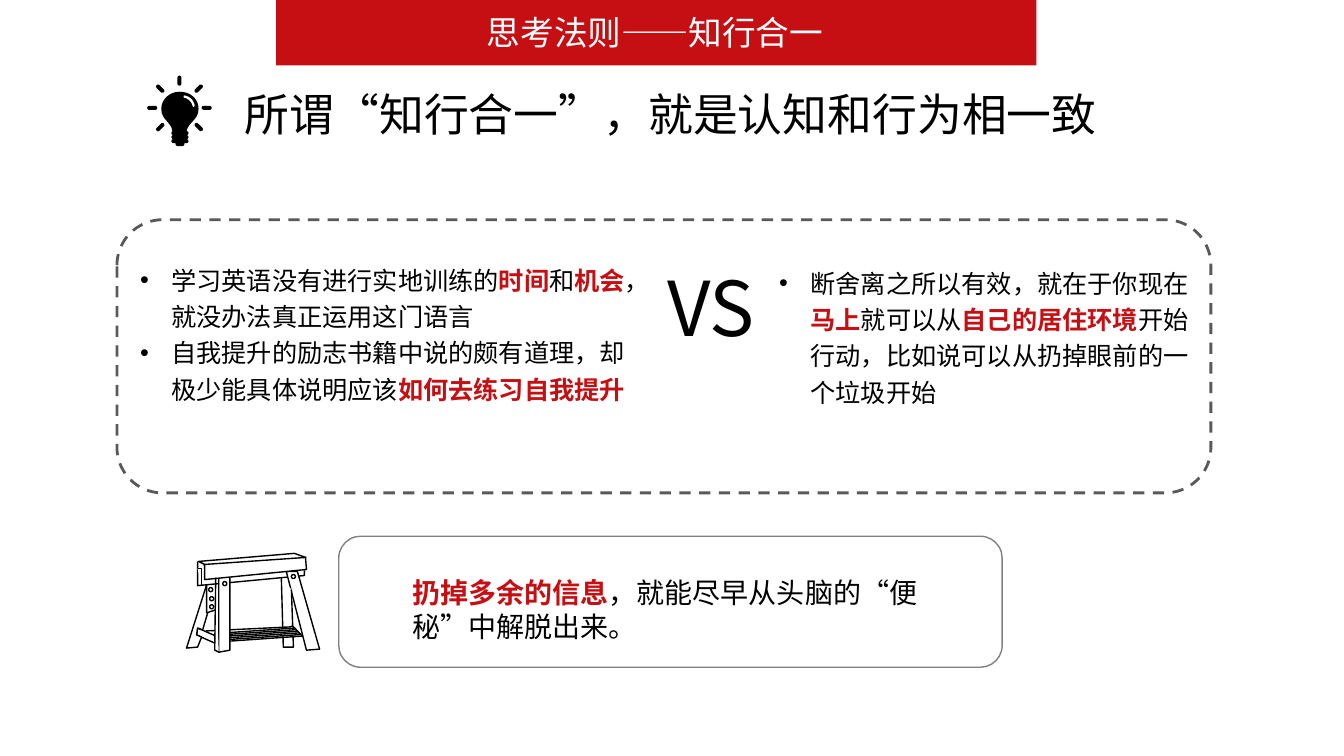
import math

from lxml import etree
from pptx import Presentation
from pptx.dml.color import RGBColor
from pptx.enum.dml import MSO_LINE
from pptx.enum.lang import MSO_LANGUAGE_ID
from pptx.enum.shapes import MSO_SHAPE
from pptx.enum.text import MSO_AUTO_SIZE
from pptx.oxml.ns import qn
from pptx.util import Inches, Pt

RECT, ROUNDED, OVAL = MSO_SHAPE.RECTANGLE, MSO_SHAPE.ROUNDED_RECTANGLE, MSO_SHAPE.OVAL
DASH = MSO_LINE.DASH
GROW = MSO_AUTO_SIZE.SHAPE_TO_FIT_TEXT
CHINESE = MSO_LANGUAGE_ID.SIMPLIFIED_CHINESE

RED = RGBColor(0xC6, 0x0F, 0x13)
BLACK = RGBColor(0, 0, 0)
WHITE = RGBColor(0xFF, 0xFF, 0xFF)
GREY = RGBColor(0x80, 0x80, 0x80)
DARK_GREY = RGBColor(0x59, 0x59, 0x59)
HEADING_FONT, BODY_FONT = "Noto Sans CJK SC", "Calibri"

# A paragraph is a list of runs; every second run is emphasised.
HEADER = [["思考法则——知行合一"]]
TITLE = [["所谓“知行合一”，就是认知和行为相一致"]]
VERSUS = [["VS"]]
CONCLUSION = [["扔掉多余的信息", "，就能尽早从头脑的“便秘”中解脱出来。"]]
TALK = [
    ["学习英语没有进行实地训练的", "时间", "和", "机会", "，就没办法真正运用这门语言"],
    ["自我提升的励志书籍中说的颇有道理，却极少能具体说明应该", "如何去练习自我提升"],
]
ACTION = [
    ["断舍离之所以有效，就在于你现在", "马上", "就可以从", "自己的居住环境",
     "开始行动，比如说可以从扔掉眼前的一个垃圾开始"],
]

# Workbench outlines: points and whether the outline is closed
BENCH_BACK = [
    ([(1.96, 5.57), (1.96, 5.81), (3.02, 5.71), (3.02, 5.66)], False),
    ([(2.02, 5.61), (3.03, 5.53)], False),
    ([(1.96, 5.64), (2, 5.64), (2, 5.81)], False),
    ([(2.13, 6.38), (1.95, 6.3), (1.96, 6.23), (2.14, 6.31)], False),
    ([(2.06, 6.08), (2.01, 6.25), (1.96, 6.23), (1.95, 6.3), (2, 6.32),
      (1.96, 6.42), (1.85, 6.43), (2.05, 5.8)], False),
    ([(2.14, 6.05), (2.05, 6.08), (2.05, 5.8)], False),
    ([(2.84, 5.67), (3.04, 6.45), (3.17, 6.44), (2.95, 5.67)], True),
    ([(2.79, 5.73), (2.81, 6.42), (2.91, 6.42), (2.89, 5.85)], False),
    ([(3, 6.31), (2.9, 6.21), (2.88, 6.22), (2.04, 6.26)], False),
]
BENCH_FRONT = [
    ([(2.17, 5.73), (2.17, 6.47), (2.28, 6.45), (2.28, 5.72)], True),
    ([(1.97, 5.57), (2.92, 5.49), (3.03, 5.53), (3.04, 5.65), (2.03, 5.75),
      (2.03, 5.6)], True),
    ([(2.03, 5.6), (3.04, 5.53)], False),
    ([(2.17, 6.47), (2.13, 6.45), (2.14, 5.73)], False),
]
BENCH_SLATS = 6
BACK_BOLTS = [(2.89, 5.7), (2.08, 6), (2.08, 5.92), (2.07, 5.83)]
FRONT_BOLT = (2.21, 5.77)

# Bulb curves: a start point, then two control points and an end point each
GLASS = [(1.85, 1.3), (1.87, 1.21), (1.97, 1.19), (1.97, 1.08),
         (1.97, 0.98), (1.89, 0.91), (1.78, 0.91),
         (1.69, 0.91), (1.6, 0.98), (1.6, 1.08),
         (1.6, 1.19), (1.7, 1.21), (1.71, 1.3)]
GLINT = [(1.82, 0.95), (1.83, 0.95), (1.84, 0.94), (1.84, 0.95),
         (1.89, 0.96), (1.92, 1), (1.93, 1.04),
         (1.93, 1.05), (1.93, 1.06), (1.92, 1.06),
         (1.91, 1.06), (1.91, 1.05), (1.91, 1.05),
         (1.9, 1.01), (1.87, 0.98), (1.83, 0.97),
         (1.82, 0.97), (1.82, 0.96), (1.82, 0.95)]
BULB_CENTRE, RAY_RADIUS, RAY_SIZE = (1.78, 1.07), 0.27, (0.1, 0.04)
RAY_ANGLES = [angle for angle in range(0, 360, 45) if angle != 90]
SOCKET = [(1.7, 1.3, 0.17, 0.04), (1.7, 1.34, 0.17, 0.04),
          (1.7, 1.38, 0.17, 0.04), (1.74, 1.4, 0.09, 0.05)]


def paint(shape, fill=None, line=None, width=1, dash=None):
    shape.shadow.inherit = False
    if fill is None:
        shape.fill.background()
    else:
        shape.fill.solid()
        shape.fill.fore_color.rgb = fill
    if line is None:
        shape.line.fill.background()
    else:
        shape.line.color.rgb = line
        shape.line.width = Pt(width)
        if dash:
            shape.line.dash_style = dash
    return shape


def preset(kind, box, **look):
    return paint(shapes.add_shape(kind, *map(Inches, box)), **look)


def outline(points, closed, **look):
    corners = [(Inches(x), Inches(y)) for x, y in points]
    builder = shapes.build_freeform(*corners[0])
    builder.add_line_segments(corners[1:], close=closed)
    paint(builder.convert_to_shape(), **look)


def flatten(curve, steps=8):
    """Turn a chain of cubic curves into points."""
    points = [curve[0]]
    for first in range(0, len(curve) - 1, 3):
        a, b, c, d = curve[first:first + 4]
        for step in range(1, steps + 1):
            t = step / steps
            u = 1 - t
            points.append(tuple(
                u**3 * a[i] + 3 * u * u * t * b[i] + 3 * u * t * t * c[i] + t**3 * d[i]
                for i in (0, 1)))
    return points


def write(box, paragraphs, size, font=HEADING_FONT, color=BLACK, bullets=False,
          red_runs=1):
    """Fill a text box; runs whose index has the parity red_runs are red and bold."""
    frame = shapes.add_textbox(*map(Inches, box)).text_frame
    frame.word_wrap = True
    frame.auto_size = GROW
    for index, runs in enumerate(paragraphs):
        paragraph = frame.add_paragraph() if index else frame.paragraphs[0]
        if bullets:
            paragraph.line_spacing = 1.2
            properties = paragraph._p.get_or_add_pPr()
            properties.set("marL", str(Inches(0.31)))
            properties.set("indent", str(Inches(-0.31)))
            etree.SubElement(properties, qn("a:buFont")).set("typeface", "Arial")
            etree.SubElement(properties, qn("a:buChar")).set("char", "•")
        for position, words in enumerate(runs):
            run = paragraph.add_run()
            run.text = words
            emphasised = position % 2 == red_runs
            run.font.size = Pt(size)
            run.font.bold = emphasised
            run.font.color.rgb = RED if emphasised else color
            run.font.language_id = CHINESE
            run.font.name = font
            east_asian = etree.SubElement(run._r.get_or_add_rPr(), qn("a:ea"))
            east_asian.set("typeface", HEADING_FONT)


def draw_bench():
    look = {"fill": WHITE, "line": BLACK}
    for points, closed in BENCH_BACK:
        outline(points, closed, **look)
    for x, y in BACK_BOLTS:
        preset(OVAL, (x, y, 0.04, 0.04), **look)
    for slat in range(BENCH_SLATS):
        x, y = 2.21 + 0.015 * slat, 6.28 + 0.016 * slat
        outline([(x, y), (x + 0.72, y - 0.05)], False, **look)
    for points, closed in BENCH_FRONT:
        outline(points, closed, **look)
    preset(OVAL, (*FRONT_BOLT, 0.04, 0.04), **look)


def draw_bulb():
    outline(flatten(GLASS), True, fill=BLACK)
    outline(flatten(GLINT), True, fill=WHITE)
    for box in SOCKET:
        preset(ROUNDED, box, fill=BLACK).adjustments[0] = 0.5
    length, thickness = RAY_SIZE
    for angle in RAY_ANGLES:
        x = BULB_CENTRE[0] + RAY_RADIUS * math.cos(math.radians(angle))
        y = BULB_CENTRE[1] + RAY_RADIUS * math.sin(math.radians(angle))
        box = (x - length / 2, y - thickness / 2, length, thickness)
        ray = preset(ROUNDED, box, fill=BLACK)
        ray.adjustments[0] = 0.5
        ray.rotation = angle


presentation = Presentation()
presentation.slide_width, presentation.slide_height = Inches(13.33), Inches(7.5)
shapes = presentation.slides.add_slide(presentation.slide_layouts[6]).shapes

write((2.33, 0.81, 8.68, 0.64), TITLE, 32)
preset(ROUNDED, (3.36, 5.32, 6.58, 1.3), line=GREY)
write((3.99, 5.66, 5.25, 0.77), CONCLUSION, 20, red_runs=0)
write((1.29, 2.52, 5.22, 1.92), TALK, 18, BODY_FONT, bullets=True)
write((7.63, 2.55, 4.38, 1.56), ACTION, 18, BODY_FONT, bullets=True)
write((6.52, 2.54, 1.62, 1.01), VERSUS, 54)
preset(RECT, (2.74, 0, 7.54, 0.65), fill=RED)
write((4.73, 0.07, 3.55, 0.5), HEADER, 24, color=WHITE)
draw_bench()
draw_bulb()
preset(ROUNDED, (1.16, 2.18, 10.85, 2.71), line=DARK_GREY, width=2, dash=DASH)

presentation.save("out.pptx")
